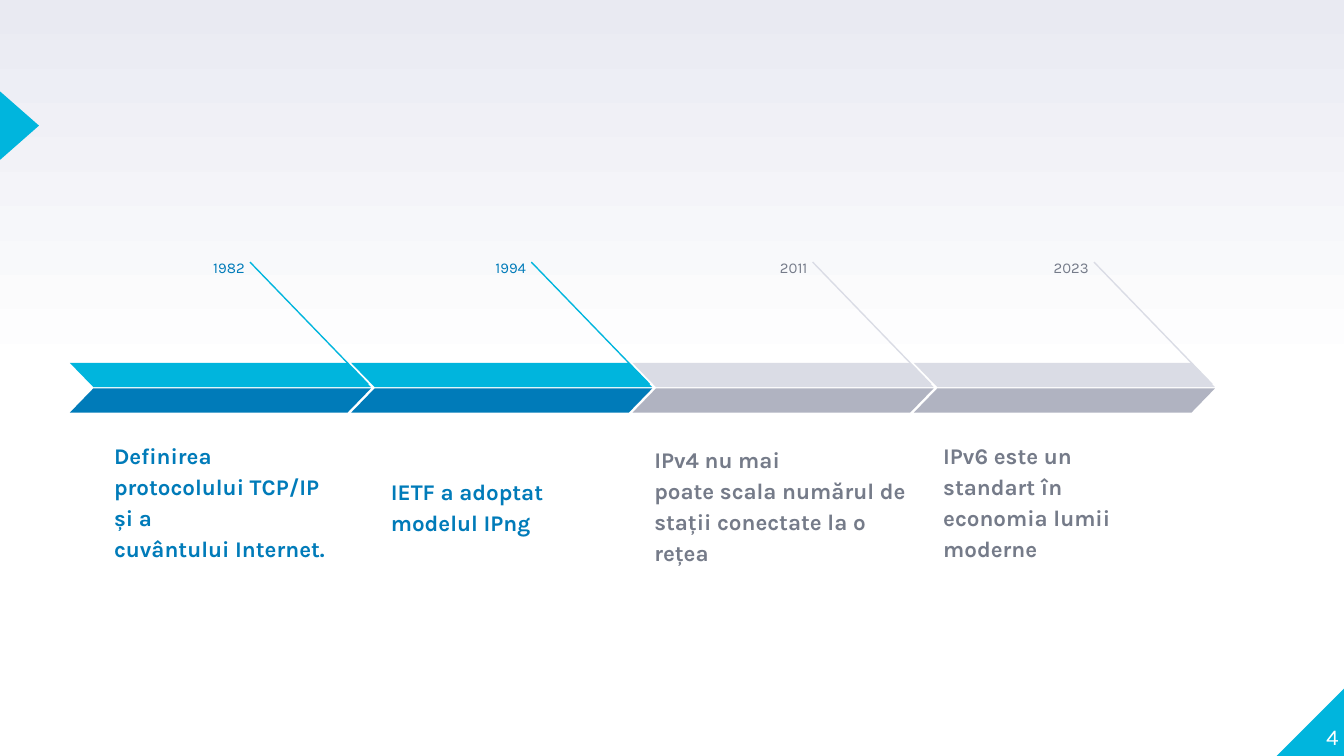
from copy import deepcopy
from dataclasses import dataclass

from pptx import Presentation
from pptx.dml.color import RGBColor
from pptx.enum.shapes import MSO_CONNECTOR, MSO_SHAPE
from pptx.enum.text import MSO_ANCHOR, PP_ALIGN
from pptx.oxml.ns import qn
from pptx.util import Inches, Pt


@dataclass(frozen=True)
class Theme:
    font: str = "Karla"
    year_size: float = 8
    body_size: float = 12
    white: str = "FFFFFF"
    haze: str = "E9EAF2"
    cyan: str = "00B5DD"
    blue: str = "007BB9"
    silver: str = "DADCE5"
    grey: str = "B0B3C1"
    slate: str = "757B89"


T = Theme()
WIDTH = 10
HEIGHT = WIDTH * 9 / 16
LEFT, STEP = 0.52, 6.28 / 3
BAND_W, BAND_H, BAND_TOPS = 2.24, 0.18, (2.70, 2.89)
LINE_TOP, LINE_BOTTOM = 1.95, 2.86
NO_BREAK_SPACE = chr(160)

PAST = (T.cyan, T.blue, T.blue)
LATER = (T.silver, T.grey, T.slate)

# year, text (~ is a no-break space), text box (left, top, width, height),
# colours (upper band, lower band, text)
MILESTONES = [
    ("1982", "Definirea protocolului~TCP/IP~și a cuvântului~Internet.",
     (0.75, 3.73, 1.82, 0.55), PAST),
    ("1994", "IETF a adoptat modelul IPng",
     (2.81, 3.54, 1.82, 0.55), PAST),
    ("2011", "IPv4 nu mai poate~scala numărul de stații conectate la o rețea~",
     (4.77, 3.48, 2.07, 0.83), LATER),
    ("2023", "IPv6 este un standart în economia lumii moderne",
     (6.92, 3.73, 1.84, 0.55), LATER),
]


def rgb(value):
    return RGBColor.from_string(value)


def add_background(s):
    """Fade from white on the lower half to a haze at the top."""
    fill = s.background.fill
    fill.gradient()
    fill.gradient_angle = 90
    stop_list = next(s._element.iter(qn("a:gsLst")))
    stop_list.append(deepcopy(stop_list[-1]))
    colors = (T.white, T.white, T.haze)
    for stop, position, color in zip(fill.gradient_stops, (0, 0.5, 1), colors):
        stop.position = position
        stop.color.rgb = rgb(color)


def add_shape(shapes, kind, box, color, flip=False, adj=None, rotation=0):
    sp = shapes.add_shape(kind, *map(Inches, box))
    sp.shadow.inherit = False
    sp.fill.solid()
    sp.fill.fore_color.rgb = rgb(color)
    sp.line.fill.background()
    sp.rotation = rotation
    if adj is not None:
        sp.adjustments[0] = adj
    if flip:
        sp._element.spPr.xfrm.set("flipH", "1")


def add_text(shapes, text, box, size, color, inset=0.1, align=PP_ALIGN.LEFT,
             anchor=MSO_ANCHOR.BOTTOM, bold=False, spacing=1.15, after=0):
    tf = shapes.add_textbox(*map(Inches, box)).text_frame
    tf.word_wrap = True
    tf.vertical_anchor = anchor
    tf.margin_left = tf.margin_right = Inches(inset)
    tf.margin_top = tf.margin_bottom = Inches(inset)
    p = tf.paragraphs[0]
    p.text = text.replace("~", NO_BREAK_SPACE)
    p.alignment = align
    p.line_spacing = spacing
    p.space_after = Pt(after)
    p.font.name = T.font
    p.font.size = Pt(size)
    p.font.bold = bold
    p.font.color.rgb = rgb(color)


def add_line(shapes, x1, y1, x2, y2, color):
    line = shapes.add_connector(MSO_CONNECTOR.STRAIGHT,
                                *map(Inches, (x1, y1, x2, y2)))
    line.line.color.rgb = rgb(color)
    line.line.width = Pt(0.75)
    spPr = line._element.spPr
    spPr.append(spPr.makeelement(qn("a:effectLst"), {}))


def add_milestone(s, column, year, text, box, colors):
    upper, lower, ink = colors
    x = LEFT + column * STEP
    shapes = s.shapes.add_group_shape().shapes
    add_text(shapes, year, (x + 0.64, 1.83, 0.76, 0.29), T.year_size, ink,
             align=PP_ALIGN.RIGHT, anchor=MSO_ANCHOR.TOP, after=16)
    add_text(shapes, text, box, T.body_size, ink, bold=True)
    add_line(shapes, x + 1.34, LINE_TOP, x + 2.22, LINE_BOTTOM, upper)
    for top, color, flip in zip(BAND_TOPS, (upper, lower), (True, False)):
        add_shape(shapes, MSO_SHAPE.PARALLELOGRAM, (x, top, BAND_W, BAND_H),
                  color, flip=flip, adj=0.97)


def add_frame(s):
    """Corner with the page number, and the pointer on the left edge."""
    add_shape(s.shapes, MSO_SHAPE.RIGHT_TRIANGLE,
              (WIDTH - 0.5, HEIGHT - 0.51, 0.51, 0.51), T.cyan, flip=True)
    add_shape(s.shapes, MSO_SHAPE.ISOSCELES_TRIANGLE,
              (-0.11, 0.79, 0.51, 0.29), T.cyan, rotation=90)
    add_text(s.shapes, "4", (9.46, 5.07, 0.5, 0.51), T.body_size, T.white,
             inset=0, align=PP_ALIGN.RIGHT, spacing=1)


def main():
    prs = Presentation()
    prs.slide_width, prs.slide_height = Inches(WIDTH), Inches(HEIGHT)
    s = prs.slides.add_slide(prs.slide_layouts[6])
    add_background(s)
    add_frame(s)
    for column, milestone in enumerate(MILESTONES):
        add_milestone(s, column, *milestone)
    prs.save("out.pptx")


if __name__ == "__main__":
    main()
